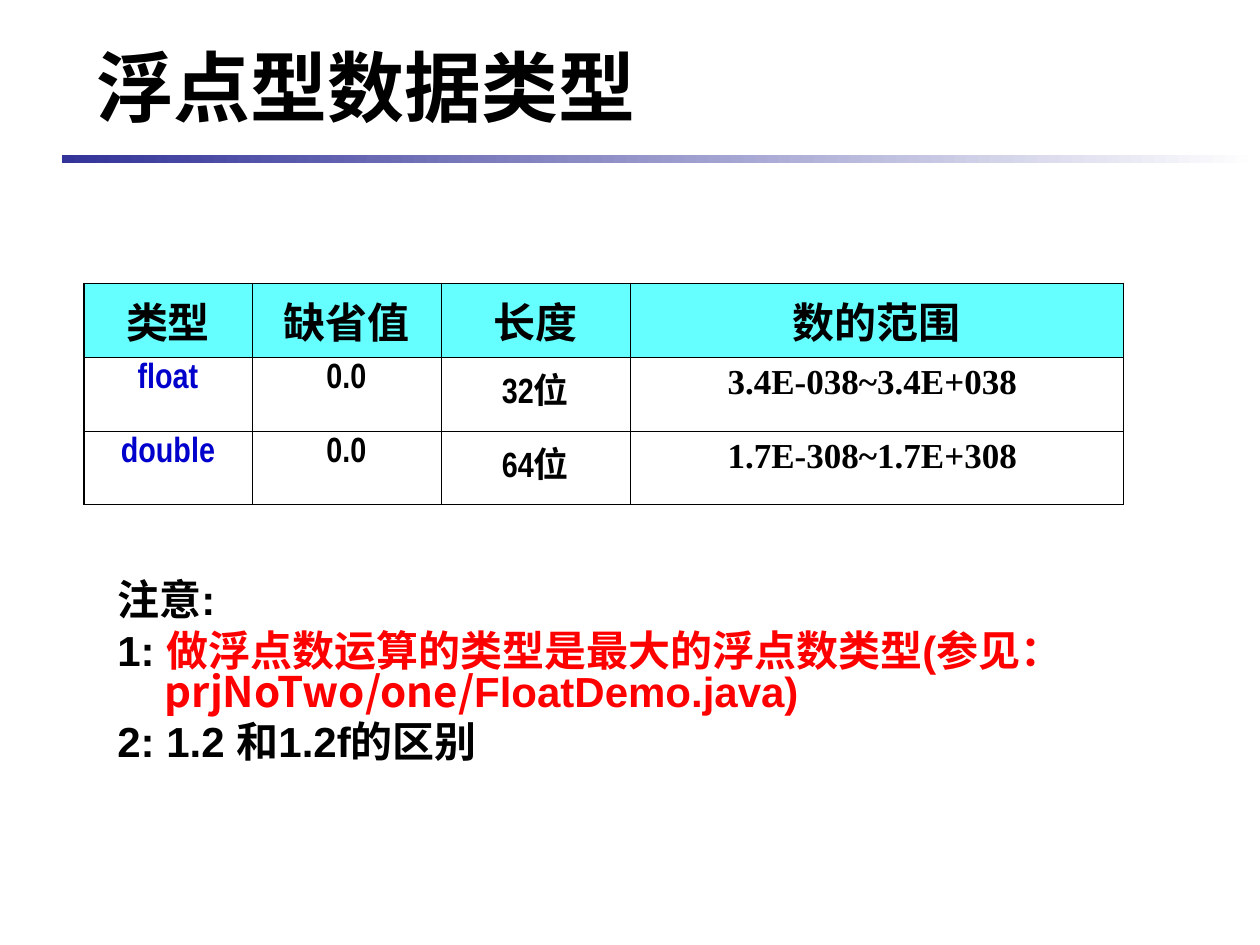
from dataclasses import dataclass

from lxml import etree
from pptx import Presentation
from pptx import util as u
from pptx.dml.color import RGBColor
from pptx.enum import shapes, text
from pptx.oxml import ns


@dataclass(frozen=True)
class Theme:
    black: str = "000000"
    white: str = "FFFFFF"
    navy: str = "333399"
    cyan: str = "66FFFF"
    blue: str = "0000CC"
    red: str = "FF0000"
    narrow: str = "Arial Narrow"
    sans: str = "Arial"
    serif: str = "Times New Roman"
    chinese: str = "Noto Sans CJK SC"
    title: int = 44
    heading: int = 24
    body: int = 20
    thick: float = 1.08
    thin: float = 0.45


def add_text(para, wording, *, font, size, color):
    span = para.add_run()
    span.text = wording
    span.font.name = font
    span.font.size = u.Pt(size)
    span.font.bold = True
    span.font.color.rgb = RGBColor.from_string(color)


def set_borders(cell, widths, color):
    properties = cell._tc.get_or_add_tcPr()
    for index, side in enumerate(("L", "R", "T", "B")):
        line = etree.Element(ns.qn(f"a:ln{side}"), w=str(u.Pt(widths[side])))
        fill = etree.SubElement(line, ns.qn("a:solidFill"))
        etree.SubElement(fill, ns.qn("a:srgbClr"), val=color)
        properties.insert(index, line)


class Builder:
    def __init__(self, page, theme):
        self.page = page
        self.theme = theme

    def rule(self, *frame):
        bar = self.page.shapes.add_shape(
            shapes.MSO_SHAPE.RECTANGLE, *map(u.Pt, frame))
        bar.shadow.inherit = False
        bar.line.fill.background()
        bar.fill.gradient()
        bar.fill.gradient_angle = 0
        colors = (self.theme.navy, self.theme.white)
        for stop, color in zip(bar.fill.gradient_stops, colors):
            stop.color.rgb = RGBColor.from_string(color)

    def text_frame(self, *frame):
        box = self.page.shapes.add_textbox(*map(u.Pt, frame))
        box.text_frame.word_wrap = True
        return box.text_frame

    def title(self, wording, *frame):
        box = self.text_frame(*frame)
        box.vertical_anchor = text.MSO_ANCHOR.MIDDLE
        add_text(box.paragraphs[0], wording, font=self.theme.narrow,
                 size=self.theme.title, color=self.theme.black)

    def notes(self, paragraphs, *frame):
        box = self.text_frame(*frame)
        box.auto_size = text.MSO_AUTO_SIZE.SHAPE_TO_FIT_TEXT
        for index, spans in enumerate(paragraphs):
            para = box.add_paragraph() if index else box.paragraphs[0]
            para.line_spacing = 0.8
            para.space_before = u.Pt(6)
            indent = para._p.get_or_add_pPr()
            indent.set("marL", str(u.Pt(27)))
            indent.set("indent", str(-u.Pt(27)))
            for wording, font, color in spans:
                add_text(para, wording, font=font,
                         size=self.theme.heading, color=color)

    def table(self, rows, widths, heights, left, top):
        theme = self.theme
        table = self.page.shapes.add_table(
            len(rows), len(widths), u.Pt(left), u.Pt(top),
            u.Pt(sum(widths)), u.Pt(sum(heights))).table
        table.horz_banding = False
        for column, width in zip(table.columns, widths):
            column.width = u.Pt(width)
        for row, height in zip(table.rows, heights):
            row.height = u.Pt(height)
        last_row, last_column = len(rows) - 1, len(widths) - 1
        for r, row in enumerate(rows):
            for c, wording in enumerate(row):
                cell = table.cell(r, c)
                header = r == 0
                if header:
                    cell.fill.solid()
                    cell.fill.fore_color.rgb = RGBColor.from_string(theme.cyan)
                else:
                    cell.fill.background()
                outer = {"L": c == 0, "R": c == last_column,
                         "T": r == 0, "B": r == last_row}
                set_borders(cell, {side: theme.thick if edge else theme.thin
                                   for side, edge in outer.items()}, theme.black)
                para = cell.text_frame.paragraphs[0]
                para.alignment = text.PP_ALIGN.CENTER
                para.space_before = u.Pt(6 if header else 5)
                add_text(
                    para, wording,
                    font=theme.serif if not header and c == last_column
                    else theme.narrow,
                    size=theme.heading if header else theme.body,
                    color=theme.blue if not header and c == 0 else theme.black)


def main():
    theme = Theme()
    deck = Presentation()
    deck.slide_width, deck.slide_height = u.Pt(720), u.Pt(540)
    page = deck.slides.add_slide(deck.slide_layouts[6])
    builder = Builder(page, theme)

    builder.rule(35.3, 88.5, 684.7, 4.5)
    builder.title("浮点型数据类型", 48, 15, 590, 68)
    builder.table(
        [("类型", "缺省值", "长度", "数的范围"),
         ("float", "0.0", "32位", "3.4E-038~3.4E+038 "),
         ("double", "0.0", "64位", "1.7E-308~1.7E+308 ")],
        widths=(96, 108, 108, 282), heights=(42, 42.25, 42), left=48, top=162)
    builder.notes(
        [[("注意:", theme.sans, theme.black)],
         [("1: ", theme.sans, theme.black),
          ("做浮点数运算的类型是最大的浮点数类型(参见：", theme.sans, theme.red),
          ("prjNoTwo/one/", theme.chinese, theme.red),
          ("FloatDemo.java)", theme.sans, theme.red)],
         [("2: 1.2 和1.2f的区别", theme.sans, theme.black)]],
        60, 330, 564, 111.5)

    deck.save("out.pptx")


if __name__ == "__main__":
    main()
